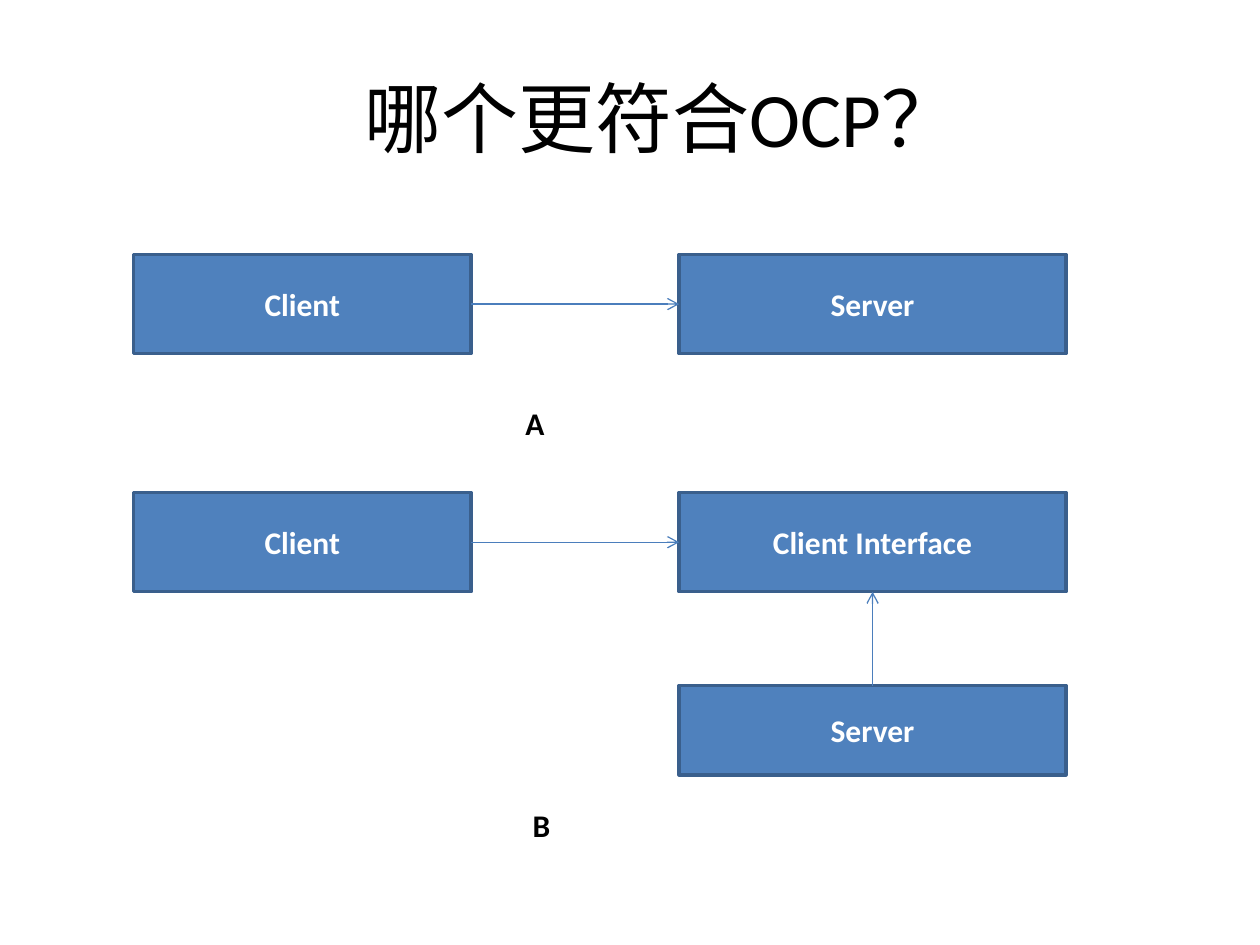
from dataclasses import dataclass

import pptx
import pptx.dml.color
import pptx.enum.shapes
import pptx.enum.text
import pptx.oxml
import pptx.oxml.ns
import pptx.util
from pptx.util import Cm

FONT = "Calibri"
BLACK, WHITE = "000000", "FFFFFF"
BOX_FILL, BOX_EDGE, ARROW = "4F81BD", "3A5F8C", "4B7EBC"
CLIENT_LEFT, CLIENT_WIDTH = 2.69, 6.81
SERVER_LEFT, SERVER_WIDTH = 13.69, 7.8
ROW_A, ROW_B, ROW_SERVER = 5.13, 9.93, 13.82
TOP, LEFT, BOTTOM, RIGHT = range(4)  # connection sites of a rectangle


@dataclass
class Box:
    """A labelled class box, in centimetres."""
    text: str
    left: float
    top: float
    width: float
    height: float = 2.0


@dataclass
class Arrow:
    """An arrow between the sites of two boxes."""
    start: str
    start_site: int
    end: str
    end_site: int


BOXES = {
    "client_a": Box("Client", CLIENT_LEFT, ROW_A, CLIENT_WIDTH),
    "server_a": Box("Server", SERVER_LEFT, ROW_A, SERVER_WIDTH),
    "client_b": Box("Client", CLIENT_LEFT, ROW_B, CLIENT_WIDTH),
    "interface_b": Box("Client Interface", SERVER_LEFT, ROW_B, SERVER_WIDTH),
    "server_b": Box("Server", SERVER_LEFT, ROW_SERVER, SERVER_WIDTH, 1.8),
}
ARROWS = [
    Arrow("client_a", RIGHT, "server_a", LEFT),
    Arrow("client_b", RIGHT, "interface_b", LEFT),
    Arrow("server_b", TOP, "interface_b", BOTTOM),
]
LABELS = [Box("A", 10.34, 8.03, 1.9, 1.02), Box("B", 10.49, 16.13, 2.59, 1.02)]


def rgb(value: str) -> pptx.dml.color.RGBColor:
    """Turn a hex string into a colour."""
    return pptx.dml.color.RGBColor.from_string(value)


def write(shape, text: str, size: float, color: str, bold: bool, align) -> None:
    """Put one formatted paragraph into a shape."""
    shape.text_frame.word_wrap = True
    para = shape.text_frame.paragraphs[0]
    para.text = text
    para.alignment = align
    para.font.name = FONT
    para.font.size = pptx.util.Pt(size)
    para.font.bold = bold
    para.font.color.rgb = rgb(color)


def place(box: Box) -> tuple:
    """Give the left, top, width and height of a box as lengths."""
    return Cm(box.left), Cm(box.top), Cm(box.width), Cm(box.height)


def add_box(page, box: Box):
    """Draw a class box."""
    shape = page.shapes.add_shape(pptx.enum.shapes.MSO_SHAPE.RECTANGLE, *place(box))
    shape.shadow.inherit = False
    shape.fill.solid()
    shape.fill.fore_color.rgb = rgb(BOX_FILL)
    shape.line.color.rgb = rgb(BOX_EDGE)
    shape.line.width = pptx.util.Pt(2)
    shape.text_frame.vertical_anchor = pptx.enum.text.MSO_ANCHOR.MIDDLE
    write(shape, box.text, 18, WHITE, True, pptx.enum.text.PP_ALIGN.CENTER)
    return shape


def add_arrow(page, arrow: Arrow, shapes: dict) -> None:
    """Connect two boxes with an open arrowhead at the end."""
    line = page.shapes.add_connector(
        pptx.enum.shapes.MSO_CONNECTOR.STRAIGHT, 0, 0, 0, 0)
    line.begin_connect(shapes[arrow.start], arrow.start_site)
    line.end_connect(shapes[arrow.end], arrow.end_site)
    line.line.color.rgb = rgb(ARROW)
    line.line.width = pptx.util.Pt(0.75)
    head = pptx.oxml.parse_xml(
        f'<a:tailEnd {pptx.oxml.ns.nsdecls("a")} type="arrow"/>')
    line.line._get_or_add_ln().append(head)
    line._element.spPr.append(
        pptx.oxml.parse_xml(f'<a:effectLst {pptx.oxml.ns.nsdecls("a")}/>'))


def add_label(page, label: Box) -> None:
    """Write the letter of a design."""
    shape = page.shapes.add_textbox(*place(label))
    write(shape, label.text, 18, BLACK, True, pptx.enum.text.PP_ALIGN.LEFT)


def main() -> None:
    """Build and save the deck."""
    deck = pptx.Presentation()
    deck.slide_width, deck.slide_height = Cm(25.4), Cm(19.05)
    page = deck.slides.add_slide(deck.slide_layouts[5])
    title = page.shapes.title
    title.left, title.top, title.width, title.height = place(
        Box("", 1.27, 0.76, 22.86, 3.18))
    title.text_frame.vertical_anchor = pptx.enum.text.MSO_ANCHOR.MIDDLE
    write(title, "\t哪个更符合OCP？", 44, BLACK, False,
          pptx.enum.text.PP_ALIGN.CENTER)
    shapes = {name: add_box(page, box) for name, box in BOXES.items()}
    for arrow in ARROWS:
        add_arrow(page, arrow, shapes)
    for label in LABELS:
        add_label(page, label)
    deck.save("out.pptx")


main()
